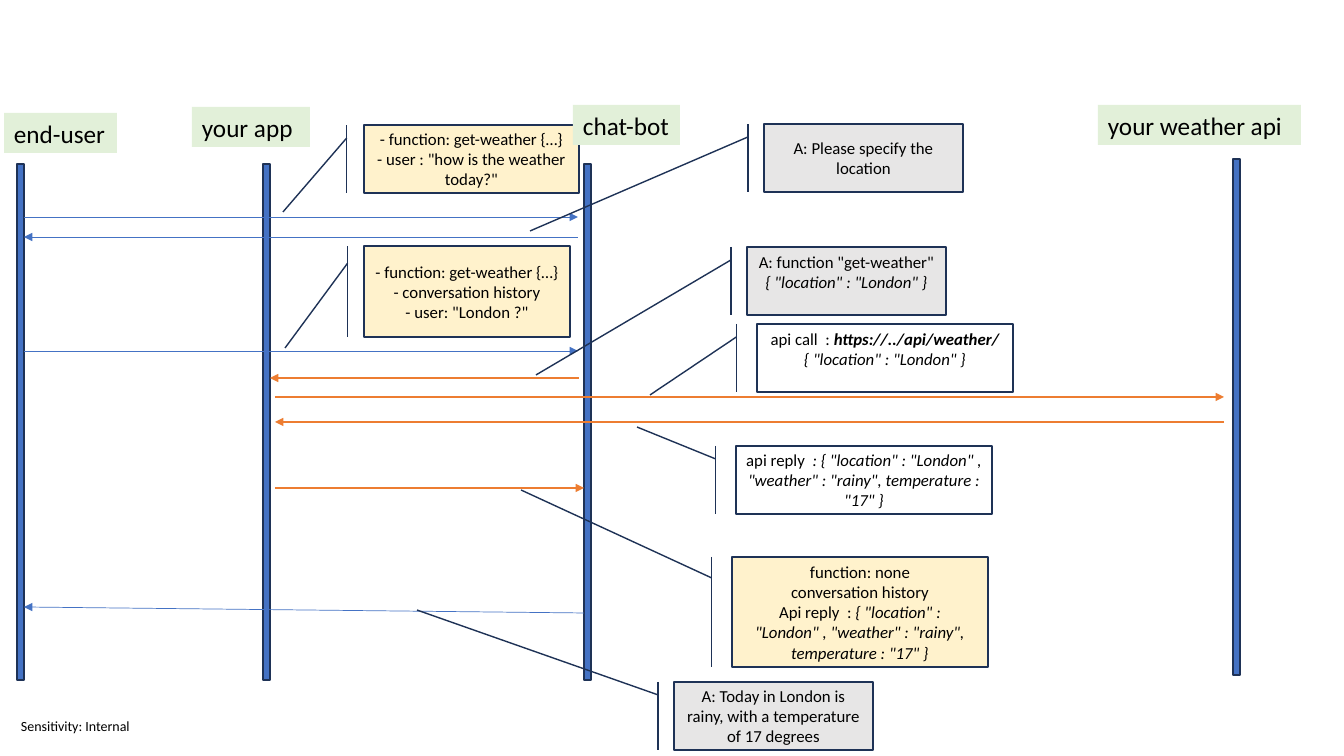
"""Sequence diagram of a weather question answered through function calling."""
import pptx
import pptx.dml.color
import pptx.enum.shapes
import pptx.enum.text
import pptx.oxml
import pptx.oxml.ns
import pptx.util

EMU_PER_PX = 914400 / 100.8
BLACK = pptx.dml.color.RGBColor(0x00, 0x00, 0x00)
WHITE = pptx.dml.color.RGBColor(0xFF, 0xFF, 0xFF)
BLUE = pptx.dml.color.RGBColor(0x44, 0x72, 0xC4)
NAVY = pptx.dml.color.RGBColor(0x1E, 0x32, 0x56)
ORANGE = pptx.dml.color.RGBColor(0xED, 0x7D, 0x31)
GREEN = pptx.dml.color.RGBColor(0xE2, 0xF0, 0xD9)
YELLOW = pptx.dml.color.RGBColor(0xFF, 0xF2, 0xCC)
GRAY = pptx.dml.color.RGBColor(0xE7, 0xE6, 0xE6)

SHAPE_TYPE = pptx.enum.shapes.MSO_SHAPE
ANCHOR = pptx.enum.text.MSO_ANCHOR
ALIGN = pptx.enum.text.PP_ALIGN
PLAIN, ITALIC, BOLD_ITALIC = {}, {"italic": True}, {"bold": True, "italic": True}

LIFELINE_WIDTH, LIFELINE_HEIGHT, HEADER_HEIGHT = 7, 516, 40

# name, lifeline left and top, header left, top and width
PARTICIPANTS = [
    ("end-user", 17, 164, 4, 113, 113),
    ("your app", 263, 164, 192, 107, 118),
    ("chat-bot", 584, 164, 573, 105, 107),
    ("your weather api", 1233, 159, 1098, 105, 203),
]

# start, end, colour, line width in points
MESSAGES = [
    ((24, 217), (578, 217), BLUE, 0.5),
    ((578, 237), (24, 237), BLUE, 0.5),
    ((24, 351), (578, 351), BLUE, 0.5),
    ((579, 378), (270, 378), ORANGE, 1),
    ((275, 397), (1224, 397), ORANGE, 1),
    ((1224, 422), (275, 422), ORANGE, 1),
    ((275, 488), (584, 488), ORANGE, 1),
    ((584, 613), (24, 607), BLUE, 0.5),
]

# box, pointer tip, fill, anchor, lines of (text, format) runs
CALLOUTS = [
    ((364, 125, 215, 68), (283, 212), YELLOW, ANCHOR.MIDDLE, [
        [("- function: get-weather {…}", PLAIN)],
        [('- user : "how is the weather today?"', PLAIN)]]),
    ((364, 246, 206, 91), (285, 348), YELLOW, ANCHOR.MIDDLE, [
        [("- function: get-weather {…}", PLAIN)],
        [("- conversation history", PLAIN)],
        [('- user: "London ?"', PLAIN)]]),
    ((764, 124, 199, 68), (530, 231), GRAY, ANCHOR.MIDDLE, [
        [("A: Please specify the location", PLAIN)]]),
    ((747, 247, 199, 68), (536, 375), GRAY, ANCHOR.TOP, [
        [('A: function "get-weather"', PLAIN)],
        [('{ "location" : "London" }', ITALIC)]]),
    ((757, 324, 256, 68), (650, 395), WHITE, ANCHOR.TOP, [
        [("api call  : ", PLAIN), ("https://../api/weather/", BOLD_ITALIC)],
        [('{ "location" : "London" }', ITALIC)]]),
    ((736, 446, 256, 68), (637, 427), WHITE, ANCHOR.MIDDLE, [
        [("api reply  ", PLAIN),
         (': { "location" : "London" , "weather" : "rainy", temperature : "17" }', ITALIC)]]),
    ((732, 557, 256, 110), (521, 490), YELLOW, ANCHOR.MIDDLE, [
        [("function: none", PLAIN)],
        [("conversation history", PLAIN)],
        [("Api reply  : ", PLAIN),
         ('{ "location" : "London" , "weather" : "rainy", temperature : "17" }', ITALIC)]]),
    ((674, 682, 199, 68), (417, 610), GRAY, ANCHOR.MIDDLE, [
        [("A: Today in London is rainy, with a temperature of 17 degrees", PLAIN)]]),
]


def px(*lengths):
    """Turn pixel lengths into a list of EMU."""
    return [pptx.util.Emu(round(length * EMU_PER_PX)) for length in lengths]


def apply_format(target, values):
    """Set every attribute named in a dict of format values."""
    for name, value in values.items():
        setattr(target, name, value)


def write_run(paragraph, text, size, values=PLAIN):
    """Append one black run to a paragraph."""
    run = paragraph.add_run()
    run.text = text
    apply_format(run.font, {"name": "Calibri", "size": pptx.util.Pt(size), **values})
    run.font.color.rgb = BLACK


def add_box(slide, shape_type, box, fill):
    """Add a filled preset shape with a thin navy outline."""
    shape = slide.shapes.add_shape(shape_type, *px(*box))
    shape.shadow.inherit = False
    shape.fill.solid()
    shape.fill.fore_color.rgb = fill
    shape.line.color.rgb = NAVY
    shape.line.width = pptx.util.Pt(1)
    return shape


def add_label(slide, box, text, size, frame_format):
    """Add a single-line, unwrapped text box."""
    label = slide.shapes.add_textbox(*px(*box))
    apply_format(label.text_frame, {"word_wrap": False, **frame_format})
    write_run(label.text_frame.paragraphs[0], text, size)
    return label


def add_header(slide, name, left, top, width):
    """Add the green name box of a participant."""
    header = add_label(slide, (left, top, width, HEADER_HEIGHT), name, 18, {})
    header.fill.solid()
    header.fill.fore_color.rgb = GREEN


def add_message(slide, start, end, color, width):
    """Add an arrow from one lifeline to another."""
    arrow = slide.shapes.add_connector(
        pptx.enum.shapes.MSO_CONNECTOR.STRAIGHT, *px(*start, *end))
    arrow.line.color.rgb = color
    arrow.line.width = pptx.util.Pt(width)
    line = arrow.line._get_or_add_ln()
    head = pptx.oxml.parse_xml(
        f'<a:tailEnd {pptx.oxml.ns.nsdecls("a")} type="triangle"/>')
    line.append(head)
    effects = pptx.oxml.parse_xml(f'<a:effectLst {pptx.oxml.ns.nsdecls("a")}/>')
    line.addnext(effects)


def add_callout(slide, box, tip, fill, anchor, lines):
    """Add an accent-bar callout whose pointer ends at the tip."""
    left, top, width, height = box
    callout = add_box(
        slide, SHAPE_TYPE.LINE_CALLOUT_1_BORDER_AND_ACCENT_BAR, box, fill)
    pointer = (0.19, -0.08, (tip[1] - top) / height, (tip[0] - left) / width)
    for index, value in enumerate(pointer):
        callout.adjustments[index] = value
    apply_format(callout.text_frame, {"word_wrap": True, "vertical_anchor": anchor})
    paragraph = callout.text_frame.paragraphs[0]
    paragraph.alignment = ALIGN.CENTER
    for index, runs in enumerate(lines):
        if index:
            paragraph.add_line_break()
        for text, values in runs:
            write_run(paragraph, text, 12, values)


def main():
    """Build the slide and save it."""
    presentation = pptx.Presentation()
    slide_width, slide_height = px(1344, 756)
    apply_format(presentation, {"slide_width": slide_width, "slide_height": slide_height})
    slide = presentation.slides.add_slide(presentation.slide_layouts[6])

    no_margins = dict.fromkeys(
        ("margin_left", "margin_top", "margin_right", "margin_bottom"), 0)
    add_label(slide, (21, 718, 112, 17), "Sensitivity: Internal", 10, no_margins)
    for _, left, top, *_ in PARTICIPANTS:
        add_box(slide, SHAPE_TYPE.RECTANGLE,
                (left, top, LIFELINE_WIDTH, LIFELINE_HEIGHT), BLUE)
    for message in MESSAGES:
        add_message(slide, *message)
    for callout in CALLOUTS:
        add_callout(slide, *callout)
    for name, _, _, *header_place in PARTICIPANTS:
        add_header(slide, name, *header_place)

    presentation.save("out.pptx")


if __name__ == "__main__":
    main()
